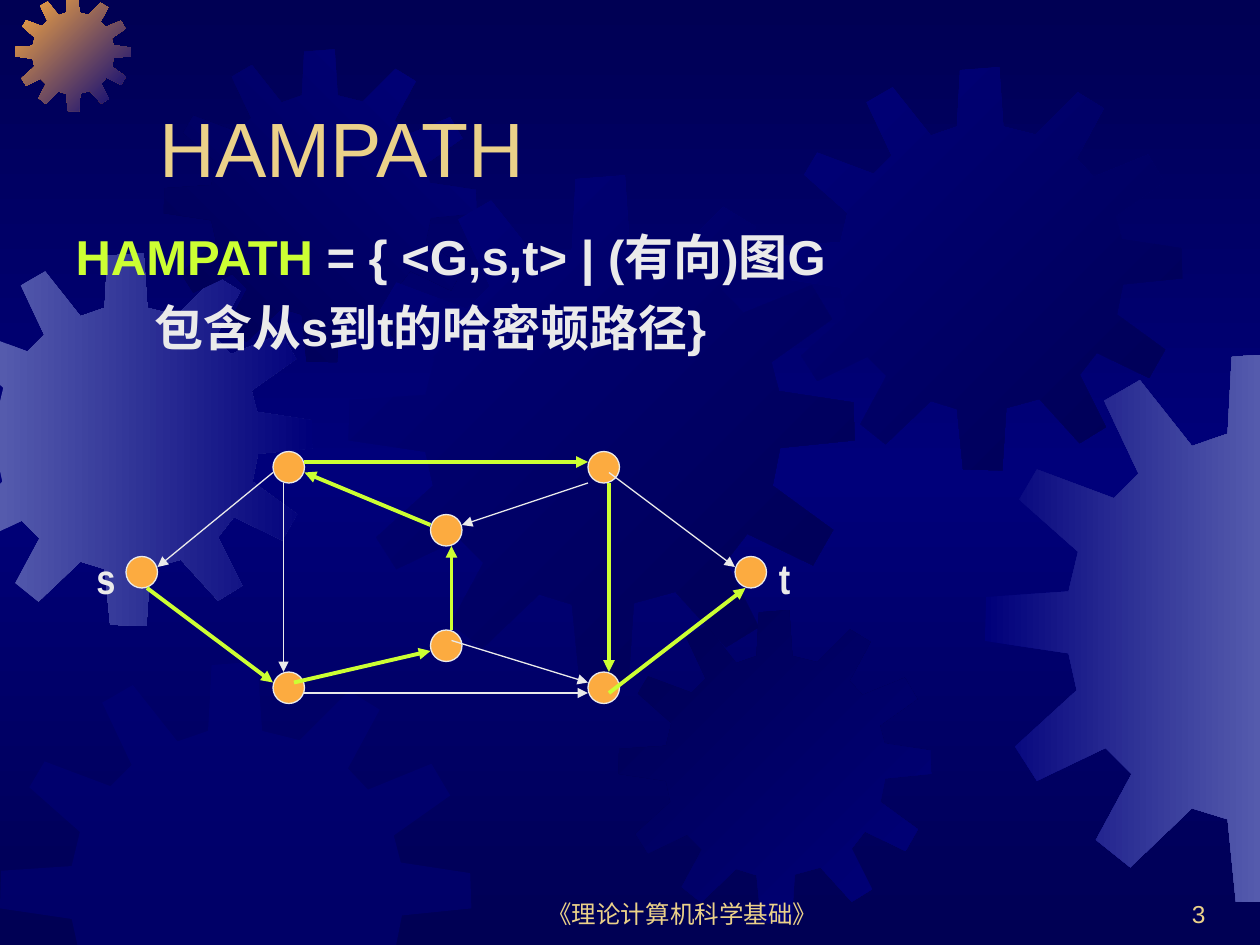
from copy import deepcopy

from lxml import etree
from pptx import Presentation, util as u
from pptx.dml import color
from pptx.enum import shapes, text
from pptx.oxml import ns

COLUMNS, ROWS = 120, 90
UNIT = u.Inches(10) // COLUMNS
GOLD, PALE, LIME, ORANGE = "EBD189", "EAEAEA", "CCFF33", "FCAB40"
DARK, NAVY, HAZE = "000054", "00007A", "555BAD"

GEAR_SIZE = 401
GEAR_OUTLINE = [
    (255, 67), (223, 59), (219, 0), (180, 3), (177, 59), (151, 68), (113, 20), (87, 35),
    (112, 88), (94, 106), (38, 85), (25, 107), (68, 145), (61, 174), (1, 178), (0, 210),
    (61, 219), (67, 246), (22, 287), (38, 312), (88, 288), (107, 307), (81, 355), (106, 375),
    (151, 332), (177, 340), (183, 400), (222, 401), (226, 339), (259, 330), (299, 374), (325, 358),
    (299, 306), (316, 284), (368, 309), (384, 281), (336, 246), (342, 216), (401, 210), (400, 180),
    (341, 171), (335, 148), (383, 114), (367, 87), (313, 109), (296, 91), (323, 41), (297, 25),
]
GEARS = [
    ((-5.7, 24.1, 35.5), (HAZE, NAVY), 0),
    ((1.45, -0.4, 11), (ORANGE, NAVY), 45),
    ((15.6, 4.7, 29.8), (DARK, NAVY), 315),
    ((33.2, 16.7, 48.2), (NAVY, DARK), 45),
    ((0, 63, 44.9), (NAVY,), 0),
    ((58.9, 58.1, 29.8), (DARK, NAVY), 45),
    ((74.2, 6.4, 38.4), (NAVY, DARK), 45),
    ((93.8, 33.6, 52.4), (NAVY, HAZE), 0),
]
NODES = [(12, 53), (26, 43), (26, 64), (41, 49), (41, 60), (56, 43), (56, 64), (70, 53)]
PLAIN_EDGES = [
    (26, 45, 15, 54), (27, 46, 27, 64), (58, 45, 70, 54),
    (29, 66, 56, 66), (43, 61, 56, 65), (56, 46, 44, 50),
]
PATH_EDGES = [
    (28, 65, 41, 62), (14, 56, 26, 65), (43, 60, 43, 52), (41, 50, 29, 45),
    (29, 44, 56, 44), (58, 46, 58, 64), (58, 66, 71, 56),
]


def rgb(value):
    """Turn a hex string into a colour."""
    return color.RGBColor.from_string(value)


def grid(*cells):
    """Turn grid cells into lengths."""
    return [u.Emu(round(cell * UNIT)) for cell in cells]


def assign(target, values):
    """Set every attribute in a dict of format values."""
    for name, value in values.items():
        setattr(target, name, value)


def paint_gradient(fill, tones, angle):
    """Colour evenly spaced gradient stops, with a clockwise angle."""
    fill.gradient_angle = -angle % 360
    for index, (stop, tone) in enumerate(zip(fill.gradient_stops, tones)):
        stop.color.rgb = rgb(tone)
        stop.position = index / (len(tones) - 1)


def paint_background(slide):
    """Give the slide its three-stop vertical gradient."""
    fill = slide.background.fill
    fill.gradient()
    stops = slide.element.xpath(".//a:gsLst")[0]
    stops.append(deepcopy(stops[0]))
    paint_gradient(fill, (DARK, NAVY, DARK), 90)


def clip(points, axis, limit, side):
    """Cut a polygon at one slide edge."""
    kept = []
    for start, end in zip(points[-1:] + points[:-1], points):
        before, after = (side * (point[axis] - limit) for point in (start, end))
        if (before < 0) != (after < 0):
            share = before / (before - after)
            kept.append(tuple(a + share * (b - a) for a, b in zip(start, end)))
        if after >= 0:
            kept.append(end)
    return kept


def add_gear(slide, place, tones, angle):
    """Draw one gear, cut off at the slide edges."""
    left, top, size = place
    scale = size / GEAR_SIZE
    points = [(left + x * scale, top + y * scale) for x, y in GEAR_OUTLINE]
    for axis, limit, side in ((0, 0, 1), (1, 0, 1), (0, COLUMNS, -1), (1, ROWS, -1)):
        points = clip(points, axis, limit, side)
    corners = [grid(*point) for point in points]
    builder = slide.shapes.build_freeform(*corners[0])
    builder.add_line_segments(corners[1:])
    gear = builder.convert_to_shape()
    gear.shadow.inherit = False
    gear.line.fill.background()
    if len(tones) > 1:
        gear.fill.gradient()
        paint_gradient(gear.fill, tones, angle)
    else:
        gear.fill.solid()
        gear.fill.fore_color.rgb = rgb(tones[0])
        tone = gear._element.spPr.xpath("./a:solidFill/a:srgbClr")[0]
        etree.SubElement(tone, ns.qn("a:alpha"), val="50000")


def write(paragraph, words, tone, size, face="Arial", bold=False):
    """Add a formatted run to a paragraph."""
    run = paragraph.add_run()
    run.text = words
    assign(run.font, {"name": face, "size": u.Pt(size), "bold": bold})
    run.font.color.rgb = rgb(tone)


def set_placeholder(slide, holder, place, anchor):
    """Move a placeholder above the gears and return its text frame."""
    slide.shapes._spTree.append(holder._element)
    assign(holder, dict(zip(("left", "top", "width", "height"), grid(*place))))
    frame = holder.text_frame
    assign(frame, {"vertical_anchor": anchor, "auto_size": text.MSO_AUTO_SIZE.NONE, "word_wrap": True})
    return frame


def add_title(slide):
    """Fill the title."""
    frame = set_placeholder(slide, slide.shapes.title, (14, 4, 102, 15), text.MSO_ANCHOR.BOTTOM)
    frame.paragraphs[0].alignment = text.PP_ALIGN.LEFT
    write(frame.paragraphs[0], "HAMPATH", GOLD, 44)


def add_definition(slide):
    """Fill the body with the definition of the language."""
    frame = set_placeholder(slide, slide.placeholders[1], (6, 21, 108, 38.5), text.MSO_ANCHOR.TOP)
    lines = [
        ([("HAMPATH ", LIME), ("= { <G,s,t> | (有向)图G", PALE)], 0, 0),
        ([("包含从s到t的哈密顿路径}", PALE)], 7.5, 7),
    ]
    for index, (parts, indent, gap) in enumerate(lines):
        paragraph = frame.add_paragraph() if index else frame.paragraphs[0]
        properties = paragraph._p.get_or_add_pPr()
        properties.set("marL", str(round(indent * UNIT)))
        properties.set("indent", "0")
        etree.SubElement(properties, ns.qn("a:buNone"))
        paragraph.space_before = u.Pt(gap)
        for words, tone in parts:
            write(paragraph, words, tone, 28, bold=True)


def add_label(slide, place, words, tone, size, align, anchor, **style):
    """Add a one-line text box."""
    frame = slide.shapes.add_textbox(*grid(*place)).text_frame
    assign(frame, {"word_wrap": True, "vertical_anchor": anchor})
    frame.paragraphs[0].alignment = align
    write(frame.paragraphs[0], words, tone, size, **style)


def add_node(slide, column, row):
    """Draw one graph vertex."""
    node = slide.shapes.add_shape(shapes.MSO_SHAPE.OVAL, *grid(column, row, 3, 3))
    node.shadow.inherit = False
    node.fill.solid()
    node.fill.fore_color.rgb = rgb(ORANGE)
    node.line.color.rgb = rgb(PALE)
    node.line.width = u.Pt(0.75)


def add_edge(slide, ends, tone, width):
    """Draw one directed edge."""
    edge = slide.shapes.add_connector(shapes.MSO_CONNECTOR.STRAIGHT, *grid(*ends))
    edge.line.color.rgb = rgb(tone)
    edge.line.width = u.Pt(width)
    etree.SubElement(edge.line._get_or_add_ln(), ns.qn("a:tailEnd"), type="triangle")
    etree.SubElement(edge._element.spPr, ns.qn("a:effectLst"))


def add_graph(slide):
    """Draw the directed graph with its Hamiltonian path."""
    for node in NODES:
        add_node(slide, *node)
    for edges, tone, width in ((PLAIN_EDGES, PALE, 0.75), (PATH_EDGES, LIME, 2.25)):
        for ends in edges:
            add_edge(slide, ends, tone, width)
    for name, column in (("s", 8), ("t", 73)):
        add_label(slide, (column, 52, 6, 6), name, PALE, 24, text.PP_ALIGN.LEFT,
                  text.MSO_ANCHOR.TOP, face="Arial Narrow", bold=True)


def main():
    """Build and save the slide."""
    deck = Presentation()
    assign(deck, {"slide_width": UNIT * COLUMNS, "slide_height": UNIT * ROWS})
    slide = deck.slides.add_slide(deck.slide_layouts[1])
    paint_background(slide)
    for gear in GEARS:
        add_gear(slide, *gear)
    bottom = text.MSO_ANCHOR.BOTTOM
    add_label(slide, (46, 83, 38, 6), "《理论计算机科学基础》", GOLD, 14, text.PP_ALIGN.CENTER, bottom)
    add_label(slide, (91, 83, 25, 6), "3", GOLD, 14, text.PP_ALIGN.RIGHT, bottom)
    add_title(slide)
    add_definition(slide)
    add_graph(slide)
    deck.save("out.pptx")


if __name__ == "__main__":
    main()
